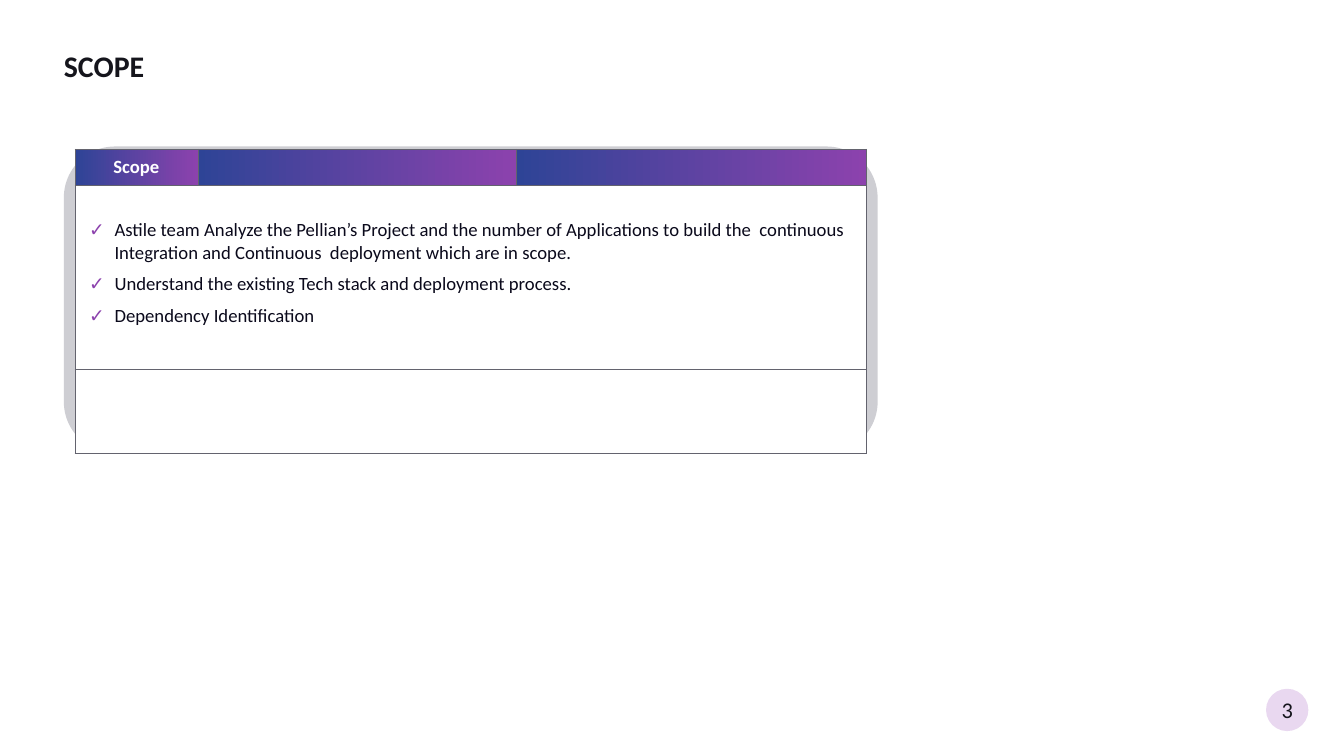
from lxml.etree import SubElement
from pptx import Presentation
from pptx.dml.color import RGBColor
from pptx.enum.shapes import MSO_SHAPE
from pptx.enum.text import MSO_ANCHOR, MSO_AUTO_SIZE, PP_ALIGN
from pptx.oxml.ns import qn
from pptx.util import Inches, Pt

TITLE = "SCOPE"
HEADERS = ["Scope", "", ""]
SCOPE_ITEMS = [
    "Astile team Analyze the Pellian’s Project and the number of Applications to build the  continuous "
    "Integration and Continuous  deployment which are in scope.",
    "Understand the existing Tech stack and deployment process.",
    "Dependency Identification",
]
PAGE_NUMBER = "3"

FONT = "Calibri"
COLORS = {
    "ink": "15151C", "body": "0A091B", "white": "FFFFFF", "panel": "CECED3",
    "border": "63636E", "blue": "2E4496", "purple": "8C42AD", "badge": "E9D8F0",
}
LEFT = 0.95
PANEL_TOP, PANEL_WIDTH, PANEL_HEIGHT = 2.18, 12.11, 4.56
COLUMNS = [1.83, 4.74, 5.21]
ROWS = [0.54, 2.73, 1.25]
BADGE = 0.63


def rgb(name):
    return RGBColor.from_string(COLORS[name])


def box(*lengths):
    return [Inches(length) for length in lengths]


def style(paragraph, size, color, bold=False):
    for run in paragraph.runs:
        run.font.name = FONT
        run.font.size = Pt(size)
        run.font.bold = bold
        run.font.color.rgb = rgb(color)


def add_plain_shape(slide, preset, position, color):
    shape = slide.shapes.add_shape(preset, *position)
    shape.shadow.inherit = False
    shape.fill.solid()
    shape.fill.fore_color.rgb = rgb(color)
    shape.line.fill.background()
    return shape


def add_borders(cell):
    properties = cell._tc.get_or_add_tcPr()
    for side in ("lnL", "lnR", "lnT", "lnB"):
        line = SubElement(properties, qn(f"a:{side}"), w=str(Pt(0.5)))
        fill = SubElement(line, qn("a:solidFill"))
        SubElement(fill, qn("a:srgbClr"), val=COLORS["border"])


def add_check_bullet(paragraph):
    properties = paragraph._p.get_or_add_pPr()
    properties.set("marL", str(Inches(0.57)))
    properties.set("indent", str(Inches(-0.38)))
    color = SubElement(properties, qn("a:buClr"))
    SubElement(color, qn("a:srgbClr"), val=COLORS["purple"])
    SubElement(properties, qn("a:buFont"), typeface=FONT)
    SubElement(properties, qn("a:buChar"), char="✓")


def fill_header(cell):
    cell.fill.gradient()
    cell.fill.gradient_angle = 0
    for stop, position, color in zip(cell.fill.gradient_stops, (0, 1), ("blue", "purple")):
        stop.position = position
        stop.color.rgb = rgb(color)


def add_title(slide):
    title = slide.shapes.title
    title.left, title.top, title.width, title.height = box(LEFT, 0.44, 16.95, 1.63)
    frame = title.text_frame
    frame.text = TITLE
    frame.auto_size = MSO_AUTO_SIZE.NONE
    frame.vertical_anchor = MSO_ANCHOR.TOP
    frame.margin_left = frame.margin_right = frame.margin_top = frame.margin_bottom = 0
    paragraph = frame.paragraphs[0]
    paragraph.alignment = PP_ALIGN.LEFT
    paragraph.line_spacing = Pt(58)
    style(paragraph, 32, "ink", bold=True)


def add_scope_table(slide):
    left = LEFT + (PANEL_WIDTH - sum(COLUMNS)) / 2
    top = PANEL_TOP + PANEL_HEIGHT - sum(ROWS)
    table = slide.shapes.add_table(
        len(ROWS), len(COLUMNS), *box(left, top, sum(COLUMNS), sum(ROWS))).table
    for column, width in zip(table.columns, COLUMNS):
        column.width = Inches(width)
    for row, height in zip(table.rows, ROWS):
        row.height = Inches(height)

    for cell in table.iter_cells():
        add_borders(cell)
        cell.fill.solid()
        cell.fill.fore_color.rgb = rgb("white")
    for row in (1, 2):
        table.cell(row, 0).merge(table.cell(row, len(COLUMNS) - 1))

    for column, header in enumerate(HEADERS):
        cell = table.cell(0, column)
        fill_header(cell)
        cell.text_frame.text = header
        cell.vertical_anchor = MSO_ANCHOR.MIDDLE
        paragraph = cell.text_frame.paragraphs[0]
        paragraph.alignment = PP_ALIGN.CENTER
        style(paragraph, 20, "white", bold=True)

    scope = table.cell(1, 0)
    scope.margin_left = scope.margin_right = Inches(0.02)
    scope.margin_top, scope.margin_bottom = Inches(0.5), 0
    scope.text_frame.text = "\n".join(SCOPE_ITEMS)
    for paragraph in scope.text_frame.paragraphs:
        paragraph.space_before, paragraph.space_after = Pt(6), Pt(3)
        add_check_bullet(paragraph)
        style(paragraph, 20, "body")


def add_page_number(slide):
    badge = add_plain_shape(slide, MSO_SHAPE.OVAL, box(18.84, 10.25, BADGE, BADGE), "badge")
    frame = badge.text_frame
    frame.text = PAGE_NUMBER
    frame.margin_left = frame.margin_right = 0
    frame.margin_top = frame.margin_bottom = Inches(0.04)
    frame.vertical_anchor = MSO_ANCHOR.MIDDLE
    frame.paragraphs[0].alignment = PP_ALIGN.CENTER
    style(frame.paragraphs[0], 24, "ink")


def main():
    deck = Presentation()
    deck.slide_width, deck.slide_height = Inches(20), Inches(11.25)
    slide = deck.slides.add_slide(deck.slide_layouts.get_by_name("Title Only"))
    add_page_number(slide)
    add_title(slide)
    add_plain_shape(slide, MSO_SHAPE.ROUNDED_RECTANGLE,
                    box(LEFT, PANEL_TOP, PANEL_WIDTH, PANEL_HEIGHT), "panel")
    add_scope_table(slide)
    deck.save("out.pptx")


if __name__ == "__main__":
    main()
